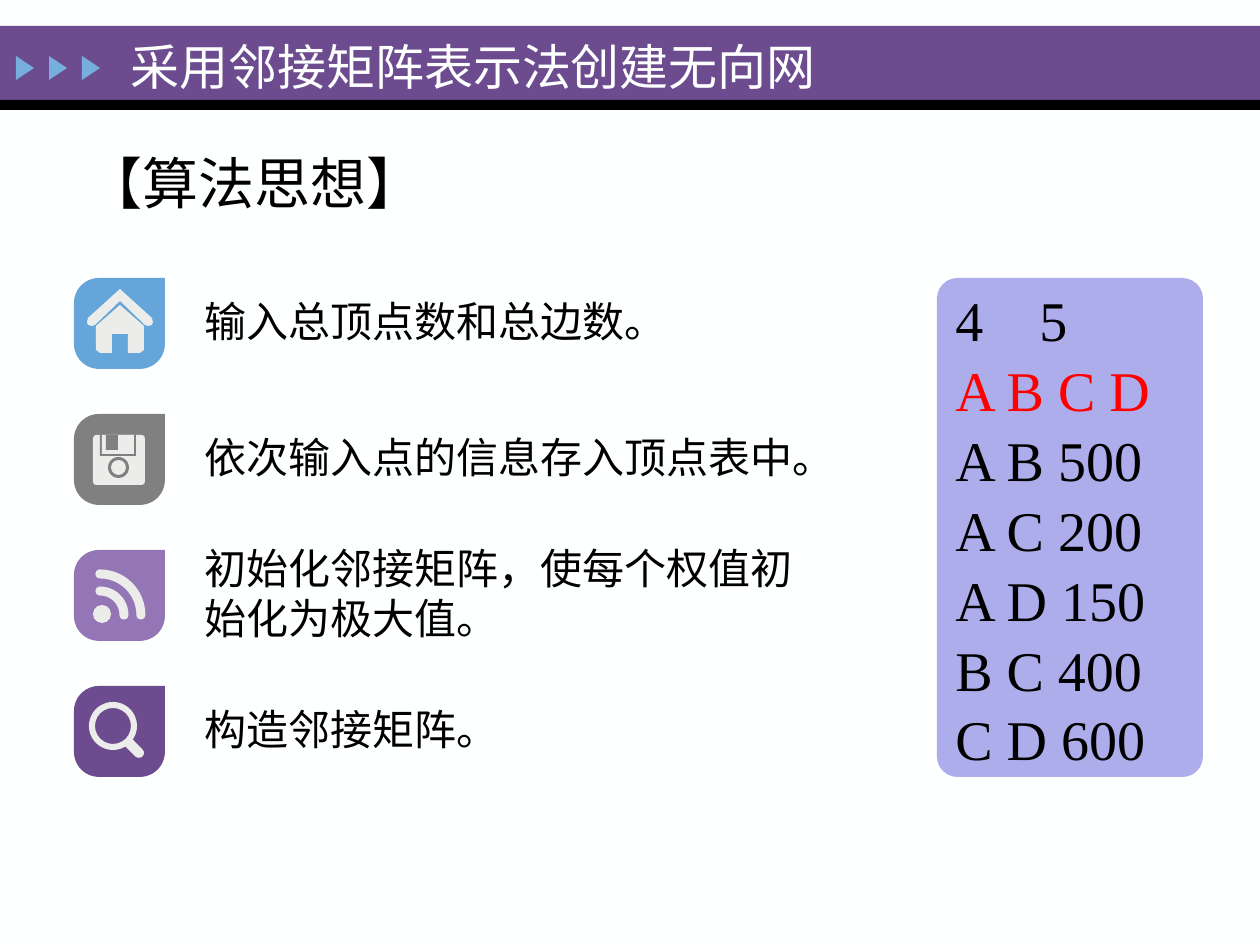
from dataclasses import dataclass
from math import cos, radians, sin

from lxml.etree import SubElement
from pptx import Presentation
from pptx.dml.color import RGBColor
from pptx.enum.shapes import MSO_SHAPE as Shape
from pptx.enum.text import MSO_ANCHOR as Anchor, MSO_AUTO_SIZE as AutoSize, PP_ALIGN as Align
from pptx.oxml.ns import qn
from pptx.util import Emu, Pt

EMU_PER_PX = 914400 / 126
Point = tuple[float, float]


@dataclass(frozen=True)
class Theme:
    font: str = "Times New Roman"
    heading: int = 32
    title: int = 28
    item: int = 24
    paper: str = "FEFFFF"
    ink: str = "000000"
    accent: str = "FF0000"
    purple: str = "6C4C8F"
    lilac: str = "9476B6"
    blue: str = "65A5D9"
    arrow: str = "76AEDD"
    gray: str = "808080"
    panel: str = "ADADEB"
    icon: str = "ECECEB"


@dataclass(frozen=True)
class Box:
    left: int
    top: int
    width: int
    height: int


@dataclass(frozen=True)
class Step:
    text: str
    color: str
    draw_icon: callable
    width: int = 567
    lines: int = 1


THEME = Theme()
BADGE_LEFT, BADGE_TOP, BADGE_SIZE, BADGE_STEP = 74, 278, 91, 136


def px(value: float) -> Emu:
    return Emu(round(value * EMU_PER_PX))


def paint(shape, color: str) -> None:
    shape.shadow.inherit = False
    shape.fill.solid()
    shape.fill.fore_color.rgb = RGBColor.from_string(color)
    shape.line.fill.background()


def place(shape, box: Box) -> None:
    shape.left, shape.top = px(box.left), px(box.top)
    shape.width, shape.height = px(box.width), px(box.height)


def add_preset(page, kind, box: Box, color: str, adjust: float | None = None, turn: int = 0):
    shape = page.shapes.add_shape(kind, px(box.left), px(box.top), px(box.width), px(box.height))
    paint(shape, color)
    shape.rotation = turn
    if adjust is not None:
        shape.adjustments[0] = adjust
    return shape


def add_outline(page, top: int, points: list[Point], color: str) -> None:
    """Draw a closed outline given relative to a badge's corner."""
    spots = [(px(BADGE_LEFT + x), px(top + y)) for x, y in points]
    builder = page.shapes.build_freeform(*spots[0], scale=1.0)
    builder.add_line_segments(spots[1:], close=True)
    paint(builder.convert_to_shape(), color)


def arc(x: float, y: float, radius: float, start: int, end: int) -> list[Point]:
    angles = [radians(start + (end - start) * i / 12) for i in range(13)]
    return [(x + radius * cos(a), y + radius * sin(a)) for a in angles]


def write(shape, lines: list[str], size: int, color: str = THEME.ink) -> None:
    frame = shape.text_frame
    frame.text = "\n".join(lines)
    frame.word_wrap = True
    frame.auto_size = AutoSize.NONE
    frame.vertical_anchor = Anchor.MIDDLE
    for para in frame.paragraphs:
        para.alignment = Align.LEFT
        para.space_before = Pt(0)
        for span in para.runs:
            span.font.name, span.font.size = THEME.font, Pt(size)
            span.font.color.rgb = RGBColor.from_string(color)


# Icons, each relative to its badge
def local(top: int, x: int, y: int, width: int, height: int) -> Box:
    return Box(BADGE_LEFT + x, top + y, width, height)


def draw_house(page, top: int, color: str) -> None:
    roof = [(46, 11), (78, 40), (79, 44), (78, 47), (74, 48), (71, 47), (46, 23)]
    walls = [(46, 27), (70, 48), (70, 72), (66, 75), (54, 75), (54, 56)]
    for half in (roof, walls):
        mirrored = [(92 - x, y) for x, y in reversed(half)]
        add_outline(page, top, half + mirrored, THEME.icon)


def draw_disk(page, top: int, color: str) -> None:
    parts = [
        (Shape.ROUNDED_RECTANGLE, (19, 21, 52, 50), THEME.icon, 0.07),
        (Shape.RECTANGLE, (26, 21, 36, 21), color, None),
        (Shape.RECTANGLE, (28, 21, 32, 19), THEME.icon, None),
        (Shape.RECTANGLE, (32, 21, 12, 15), color, None),
        (Shape.OVAL, (34, 43, 21, 21), color, None),
        (Shape.OVAL, (37, 46, 15, 15), THEME.icon, None),
    ]
    for kind, bounds, fill, adjust in parts:
        add_preset(page, kind, local(top, *bounds), fill, adjust)


def draw_feed(page, top: int, color: str) -> None:
    x, y, half = 26, 65, 4.5
    add_preset(page, Shape.OVAL, local(top, 19, 55, 18, 18), THEME.icon)
    for radius in (24, 41):
        band = (arc(x, y, radius + half, -90, 0) + arc(x + radius, y, half, 0, 180)
                + arc(x, y, radius - half, 0, -90) + arc(x, y - radius, half, 90, 270))
        add_outline(page, top, band, THEME.icon)


def draw_lens(page, top: int, color: str) -> None:
    add_preset(page, Shape.DONUT, local(top, 15, 16, 48, 48), THEME.icon, 0.125)
    add_preset(page, Shape.ROUNDED_RECTANGLE, local(top, 48, 57, 24, 10), THEME.icon, 0.5, 45)


def draw_step(page, index: int, step: Step) -> None:
    top = BADGE_TOP + BADGE_STEP * index
    size, radius = BADGE_SIZE, 25
    far = size - radius
    badge = ([(size, 0)] + arc(far, far, radius, 0, 90) + arc(radius, far, radius, 90, 180)
             + arc(radius, radius, radius, 180, 270))
    add_outline(page, top, badge, step.color)
    step.draw_icon(page, top, step.color)
    height = 14 + 50 * step.lines
    label = page.shapes.add_textbox(px(192), px(top + 43 - height // 2), px(step.width), px(height))
    write(label, [step.text], THEME.item)


STEPS = [
    Step("输入总顶点数和总边数。", THEME.blue, draw_house),
    Step("依次输入点的信息存入顶点表中。", THEME.gray, draw_disk, 638),
    Step("初始化邻接矩阵，使每个权值初始化为极大值。", THEME.lilac, draw_feed, 648, 2),
    Step("构造邻接矩阵。", THEME.purple, draw_lens),
]
SAMPLE = ["4\t5", "A B C D", "A B 500", "A C 200", "A D 150", "B C 400", "C D 600"]


def draw_header(page) -> None:
    add_preset(page, Shape.RECTANGLE, Box(0, 26, 1260, 75), THEME.purple)
    add_preset(page, Shape.RECTANGLE, Box(0, 100, 1260, 10), THEME.ink)
    for i in range(3):
        add_preset(page, Shape.ISOSCELES_TRIANGLE, Box(13 + 33 * i, 59, 24, 18), THEME.arrow, turn=90)
    title, heading = page.placeholders
    place(title, Box(118, 30, 863, 71))
    write(title, ["采用邻接矩阵表示法创建无向网"], THEME.title, THEME.paper)
    place(heading, Box(74, 141, 520, 83))
    write(heading, ["【算法思想】"], THEME.heading)
    props = heading.text_frame.paragraphs[0]._p.get_or_add_pPr()
    props.set("marL", "0")
    props.set("indent", "0")
    SubElement(props, qn("a:buNone"))
    # Placeholders go in front of the band
    for holder in (heading, title):
        page.shapes.element.append(holder.element)


def draw_sample(page) -> None:
    panel = add_preset(page, Shape.ROUNDED_RECTANGLE, Box(937, 278, 266, 499), THEME.panel, 0.077)
    write(panel, SAMPLE, THEME.heading)
    paras = panel.text_frame.paragraphs
    for para in paras:
        para.line_spacing = 1.04
    paras[1].runs[0].font.color.rgb = RGBColor.from_string(THEME.accent)
    tabs = SubElement(paras[0]._p.get_or_add_pPr(), qn("a:tabLst"))
    SubElement(tabs, qn("a:tab"), pos=str(px(84)), algn="l")


def main() -> None:
    deck = Presentation()
    deck.slide_width, deck.slide_height = px(1260), px(945)
    page = deck.slides.add_slide(deck.slide_layouts[1])
    page.background.fill.solid()
    page.background.fill.fore_color.rgb = RGBColor.from_string(THEME.paper)
    draw_header(page)
    draw_sample(page)
    for index, step in enumerate(STEPS):
        draw_step(page, index, step)
    deck.save("out.pptx")


if __name__ == "__main__":
    main()
